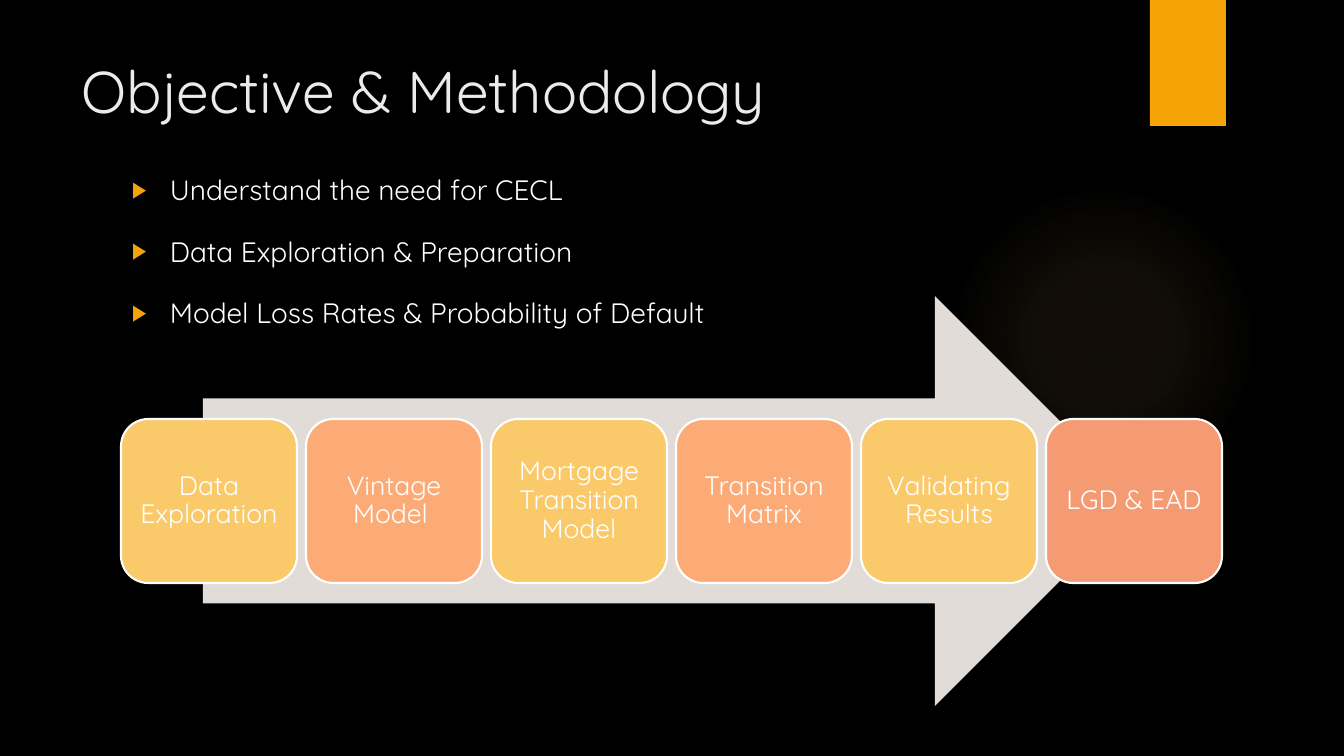
from dataclasses import dataclass

from pptx import Presentation
from pptx.dml.color import RGBColor
from pptx.enum.shapes import MSO_SHAPE
from pptx.enum.text import MSO_ANCHOR, PP_ALIGN
from pptx.oxml import parse_xml
from pptx.oxml.ns import nsdecls, qn
from pptx.util import Emu, Pt

PX = 12192000 / 1344


@dataclass(frozen=True)
class Theme:
    font: str = "Quicksand"
    background: str = "000000"
    title: str = "EBEBEB"
    text: str = "FFFFFF"
    accent: str = "F5A408"
    arrow: str = "E2DCD8"
    yellow: str = "FAC96A"
    orange: str = "FCAB76"
    coral: str = "F59B74"
    title_size: int = 42
    body_size: int = 20
    step_size: int = 19


THEME = Theme()

BULLETS = [
    "Understand the need for CECL",
    "Data Exploration & Preparation",
    "Model Loss Rates & Probability of Default",
]
STEPS = [
    ("Data Exploration", THEME.yellow),
    ("Vintage Model ", THEME.orange),
    ("Mortgage Transition Model", THEME.yellow),
    ("Transition Matrix", THEME.orange),
    ("Validating Results", THEME.yellow),
    ("LGD & EAD", THEME.coral),
]


def px(n):
    return Emu(round(n * PX))


def rgb(color):
    return RGBColor.from_string(color)


def style(p, size, color):
    for r in p.runs:
        r.font.name = THEME.font
        r.font.size = Pt(size)
        r.font.color.rgb = rgb(color)


def add_shape(s, kind, x, y, w, h, fill, line=None):
    sp = s.shapes.add_shape(kind, px(x), px(y), px(w), px(h))
    sp.shadow.inherit = False
    sp.fill.solid()
    sp.fill.fore_color.rgb = rgb(fill)
    if line:
        sp.line.color.rgb = rgb(line)
        sp.line.width = Pt(1.5)
    else:
        sp.line.fill.background()
    return sp


def add_textbox(s, x, y, w, h):
    tf = s.shapes.add_textbox(px(x), px(y), px(w), px(h)).text_frame
    tf.word_wrap = True
    return tf


def add_glow(s, x, y, size):
    sp = add_shape(s, MSO_SHAPE.OVAL, x, y, size, size, THEME.yellow)
    stops = "".join(
        f'<a:gs pos="{pos * 1000}"><a:srgbClr val="{THEME.yellow}">'
        f'<a:alpha val="{alpha * 1000}"/></a:srgbClr></a:gs>'
        for pos, alpha in [(0, 7), (36, 6), (69, 0)])
    grad = parse_xml(
        f'<a:gradFill {nsdecls("a")}><a:gsLst>{stops}</a:gsLst><a:path path="circle">'
        '<a:fillToRect l="50000" t="50000" r="50000" b="50000"/></a:path></a:gradFill>')
    spPr = sp._element.spPr
    spPr.replace(spPr.find(qn("a:solidFill")), grad)


def add_bookmark(s, x, y, w, h):
    sp = add_shape(s, MSO_SHAPE.RECTANGLE, x, y, w, h, THEME.accent)
    effects = sp._element.spPr.find(qn("a:effectLst"))
    effects.append(parse_xml(
        f'<a:outerShdw {nsdecls("a")} blurRad="{Pt(3)}" dist="{Pt(2)}" dir="5400000">'
        '<a:srgbClr val="000000"><a:alpha val="45000"/></a:srgbClr></a:outerShdw>'))


def add_title(s, text, x, y, w, h):
    p = add_textbox(s, x, y, w, h).paragraphs[0]
    p.text = text
    style(p, THEME.title_size, THEME.title)


def add_bullets(s, items, x, y, w, h):
    tf = add_textbox(s, x, y, w, h)
    tf.text = "\n".join(items)
    for p in tf.paragraphs:
        p.line_spacing = 1.5
        p.space_before = Pt(8)
        style(p, THEME.body_size, THEME.text)
        pPr = p._p.get_or_add_pPr()
        pPr.set("marL", str(px(38)))
        pPr.set("indent", str(-px(38)))
        for tag, body in [
            ("buClr", f'><a:srgbClr val="{THEME.accent}"/></a:buClr>'),
            ("buSzPct", ' val="80000"/>'),
            ("buFont", ' typeface="Arial"/>'),
            ("buChar", ' char="▶"/>'),
        ]:
            pPr.append(parse_xml(f'<a:{tag} {nsdecls("a")}{body}'))


def add_step(s, text, fill, x, y, w, h):
    sp = add_shape(s, MSO_SHAPE.ROUNDED_RECTANGLE, x, y, w, h, fill, THEME.text)
    tf = sp.text_frame
    tf.word_wrap = True
    tf.vertical_anchor = MSO_ANCHOR.MIDDLE
    tf.margin_left = tf.margin_right = tf.margin_top = tf.margin_bottom = px(8)
    tf.text = text
    p = tf.paragraphs[0]
    p.alignment = PP_ALIGN.CENTER
    p.line_spacing = 0.9
    style(p, THEME.step_size, THEME.text)


def main():
    prs = Presentation()
    prs.slide_width, prs.slide_height = px(1344), px(756)
    s = prs.slides.add_slide(prs.slide_layouts[6])
    s.background.fill.solid()
    s.background.fill.fore_color.rgb = rgb(THEME.background)

    # Decoration
    add_glow(s, 949, 184, 310)
    add_bookmark(s, 1150, 0, 76, 126)

    # Title and objectives
    add_title(s, "Objective & Methodology", 72, 50, 1037, 101)
    add_bullets(s, BULLETS, 122, 151, 986, 463)

    # Methodology arrow with its steps
    add_shape(s, MSO_SHAPE.RIGHT_ARROW, 203, 296, 937, 410, THEME.arrow)
    for i, (text, fill) in enumerate(STEPS):
        add_step(s, text, fill, 121 + 185 * i, 419, 176, 164)

    prs.save("out.pptx")


if __name__ == "__main__":
    main()
